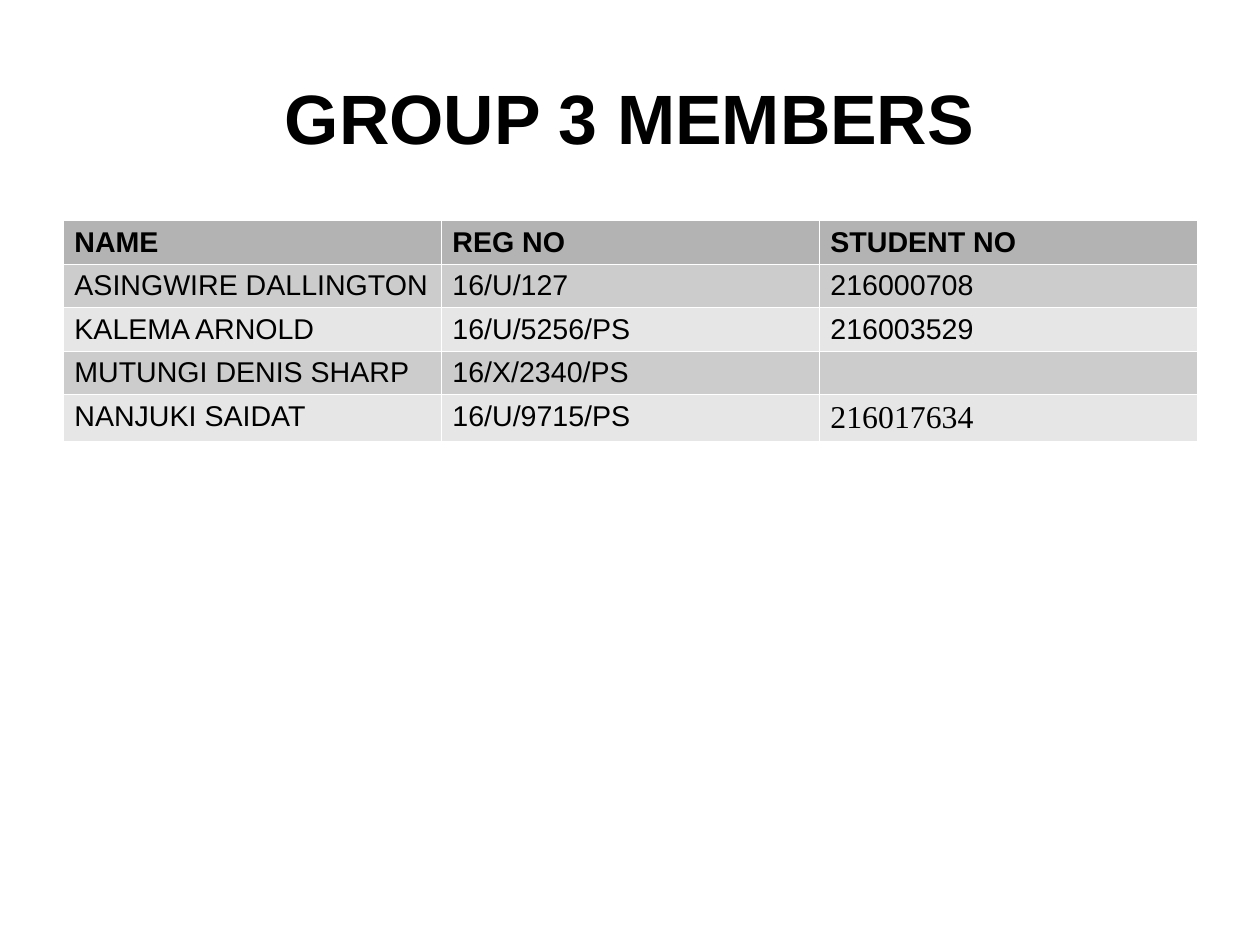
from lxml.etree import SubElement
from pptx import Presentation
from pptx.dml.color import RGBColor
from pptx.enum.text import MSO_ANCHOR, PP_ALIGN
from pptx.oxml.ns import qn
from pptx.util import Cm, Pt

SLIDE_WIDTH, SLIDE_HEIGHT = Cm(28), Cm(21)
MARGIN = SLIDE_WIDTH // 20
CONTENT_WIDTH = SLIDE_WIDTH - 2 * MARGIN
TITLE_TOP, TITLE_HEIGHT = SLIDE_HEIGHT // 25, SLIDE_HEIGHT // 6
TABLE_TOP = Cm(4.9)
ROW_HEIGHT = Cm(0.95)
BORDER_WIDTH = Pt(0.06)
HEADER_FILL, BAND_FILLS = "B3B3B3", ("CCCCCC", "E6E6E6")

TITLE_FONT = {"name": "Arial", "size": Pt(44), "bold": True}
HEADER_FONT = {"name": "Arial", "size": Pt(18), "bold": True}
BODY_FONT = {"name": "Arial", "size": Pt(18), "bold": False}
SERIF_FONT = {"name": "Times New Roman", "size": Pt(20), "bold": False}

MEMBERS = [
    ("NAME", "REG NO", "STUDENT NO"),
    ("ASINGWIRE DALLINGTON", "16/U/127", "216000708"),
    ("KALEMA ARNOLD", "16/U/5256/PS", "216003529"),
    ("MUTUNGI DENIS SHARP", "16/X/2340/PS", ""),
    ("NANJUKI SAIDAT", "16/U/9715/PS", "216017634"),
]
CELL_FONTS = {"216017634": SERIF_FONT}


def color(hex_value):
    return RGBColor.from_string(hex_value)


def write_text(text_frame, text, font_format):
    run = text_frame.paragraphs[0].add_run()
    run.text = text
    run.font.color.rgb = color("000000")
    for attribute, value in font_format.items():
        setattr(run.font, attribute, value)


def set_empty_font(text_frame, font_format):
    """Give a paragraph without text the font that sets its line height."""
    paragraph = text_frame.paragraphs[0]
    size = str(int(font_format["size"].pt * 100))
    properties = SubElement(paragraph._p, qn("a:endParaRPr"), sz=size)
    SubElement(properties, qn("a:latin"), typeface=font_format["name"])


def add_title(slide, text):
    title = slide.shapes.add_textbox(
        MARGIN, TITLE_TOP, CONTENT_WIDTH, TITLE_HEIGHT)
    frame_format = {
        "word_wrap": True, "vertical_anchor": MSO_ANCHOR.MIDDLE,
        "margin_left": 0, "margin_right": 0,
        "margin_top": 0, "margin_bottom": 0,
    }
    for attribute, value in frame_format.items():
        setattr(title.text_frame, attribute, value)
    write_text(title.text_frame, text, TITLE_FONT)
    title.text_frame.paragraphs[0].alignment = PP_ALIGN.CENTER


def set_borders(cell, hex_value):
    properties = cell._tc.get_or_add_tcPr()
    for side in ("a:lnL", "a:lnR", "a:lnT", "a:lnB"):
        line = SubElement(properties, qn(side), w=str(int(BORDER_WIDTH)))
        fill = SubElement(line, qn("a:solidFill"))
        SubElement(fill, qn("a:srgbClr"), val=hex_value)


def add_member_table(slide, rows):
    table = slide.shapes.add_table(
        len(rows), len(rows[0]), MARGIN, TABLE_TOP,
        CONTENT_WIDTH, ROW_HEIGHT * len(rows)).table
    table.first_row = table.horz_banding = False
    for row_index, row in enumerate(rows):
        is_header = row_index == 0
        fill = HEADER_FILL if is_header else BAND_FILLS[(row_index - 1) % 2]
        row_font = HEADER_FONT if is_header else BODY_FONT
        for column_index, text in enumerate(row):
            cell = table.cell(row_index, column_index)
            set_borders(cell, "FFFFFF")
            cell.fill.solid()
            cell.fill.fore_color.rgb = color(fill)
            if text:
                write_text(cell.text_frame, text, CELL_FONTS.get(text, row_font))
            else:
                set_empty_font(cell.text_frame, row_font)


def main():
    presentation = Presentation()
    presentation.slide_width = SLIDE_WIDTH
    presentation.slide_height = SLIDE_HEIGHT
    slide = presentation.slides.add_slide(presentation.slide_layouts[6])
    add_member_table(slide, MEMBERS)
    add_title(slide, "GROUP 3 MEMBERS")
    presentation.save("out.pptx")


if __name__ == "__main__":
    main()
